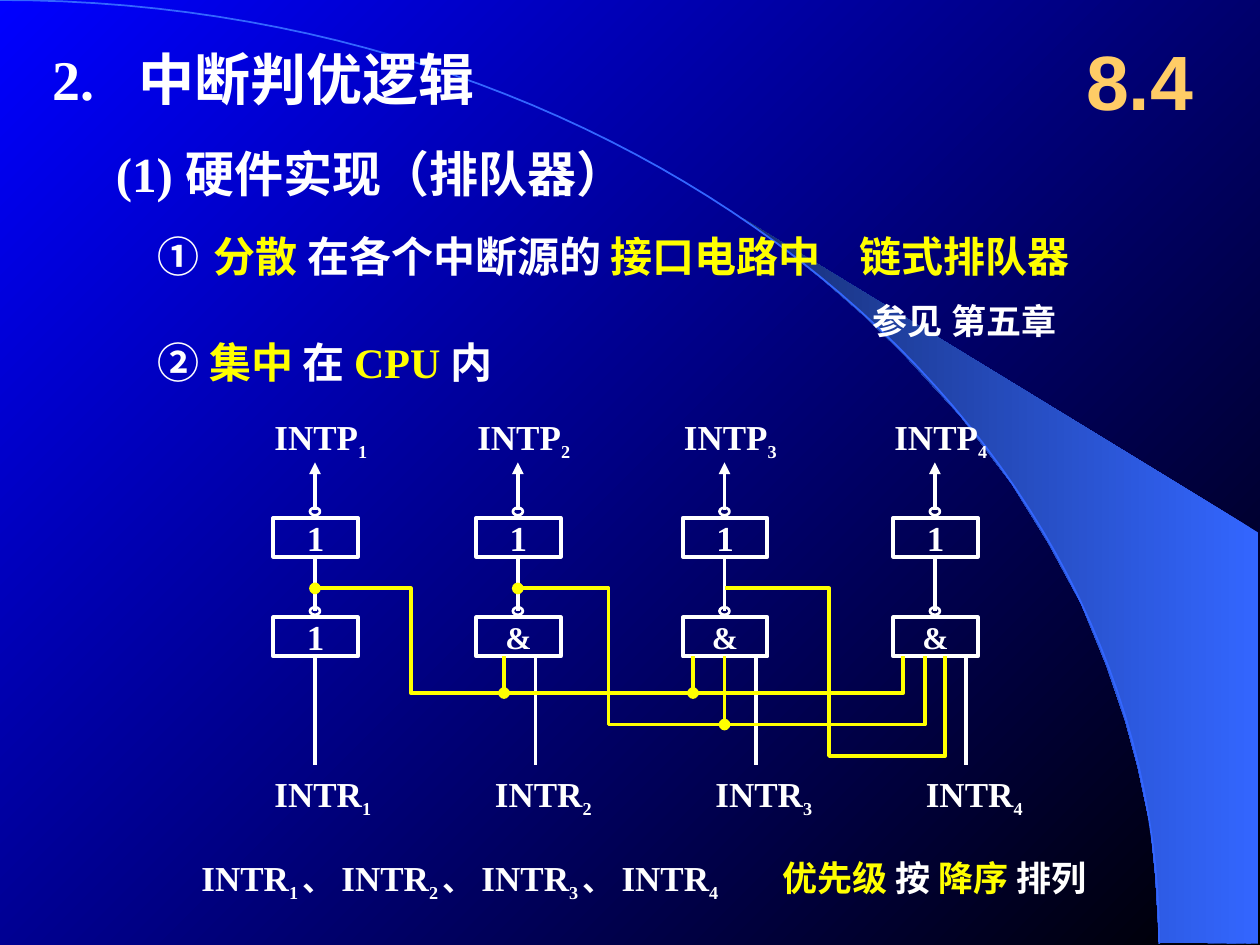
from lxml.etree import SubElement
from pptx import Presentation
from pptx.dml.color import RGBColor
from pptx.enum.shapes import MSO_CONNECTOR, MSO_SHAPE
from pptx.enum.text import MSO_ANCHOR, PP_ALIGN
from pptx.oxml.ns import qn
from pptx.util import Pt

PX = 9144
HUES = {
    "white": "FFFFFF",
    "yellow": "FFFF00",
    "gold": "FFCC66",
    "sky": "3366FF",
    "navy": "172F75",
    "blue": "0000FF",
    "black": "000000",
}


def tint(name):
    return RGBColor.from_string(HUES[name])


def blend(fill, start, end, angle):
    fill.gradient()
    fill.gradient_angle = angle
    for stop, hue, place in zip(fill.gradient_stops, (start, end), (0, 1)):
        stop.color.rgb = tint(hue)
        stop.position = place


def style(para, text, size=20, hue="white", font="Times New Roman", drop=False):
    run = para.add_run()
    run.text = text
    run.font.size = Pt(size)
    run.font.bold = True
    run.font.name = font
    run.font.color.rgb = tint(hue)
    if drop:
        run._r.get_or_add_rPr().set("baseline", "-25000")


def write(slide, box, runs, pad=10, mid=False, wrap=True, tab=0, align=None):
    frame = slide.shapes.add_textbox(*(v * PX for v in box)).text_frame
    frame.word_wrap = wrap
    frame.margin_left = frame.margin_right = pad * PX
    frame.margin_top = frame.margin_bottom = 5 * PX
    frame.vertical_anchor = MSO_ANCHOR.MIDDLE if mid else MSO_ANCHOR.TOP
    para = frame.paragraphs[0]
    para.alignment = align
    if tab:
        stops = SubElement(para._p.get_or_add_pPr(), qn("a:tabLst"))
        SubElement(stops, qn("a:tab"), pos=str(tab * PX), algn="l")
    for text, form in runs:
        style(para, text, **form)


def trace(slide, points, hue="white", width=2.25, head=None, tail=None):
    spots = [(round(x * PX), round(y * PX)) for x, y in points]
    if len(spots) == 2:
        shape = slide.shapes.add_connector(
            MSO_CONNECTOR.STRAIGHT, *spots[0], *spots[1])
    else:
        pen = slide.shapes.build_freeform(*spots[0])
        pen.add_line_segments(spots[1:], close=False)
        shape = pen.convert_to_shape()
        shape.fill.background()
    shape.line.color.rgb = tint(hue)
    shape.line.width = Pt(width)
    props = shape._element.spPr
    for tag, kind in (("a:headEnd", head), ("a:tailEnd", tail)):
        if kind:
            SubElement(props.find(qn("a:ln")), qn(tag), type=kind)
    SubElement(props, qn("a:effectLst"))


def frame(slide, kind, box, width):
    shape = slide.shapes.add_shape(kind, *(v * PX for v in box))
    shape.shadow.inherit = False
    shape.fill.background()
    shape.line.color.rgb = tint("white")
    shape.line.width = Pt(width)
    return shape


def backdrop(slide):
    blend(slide.background.fill, "black", "blue", 135)
    rim = [(920, 748), (999, 749), (999, 423), (589, 173), (624, 199),
           (653, 222), (685, 250), (716, 280), (762, 330), (803, 384),
           (832, 431), (858, 479), (878, 528), (893, 572), (903, 609),
           (913, 656), (917, 696)]
    spots = [(x * PX, y * PX) for x, y in rim]
    pen = slide.shapes.build_freeform(*spots[0])
    pen.add_line_segments(spots[1:], close=True)
    fan = pen.convert_to_shape()
    fan.shadow.inherit = False
    fan.line.fill.background()
    blend(fan.fill, "sky", "navy", 180)
    arc = []
    for step in range(61):
        t = step / 60
        s = 1 - t
        arc.append((3 * s * s * t * 508 + 3 * s * t * t * 920 + t ** 3 * 920,
                    3 * s * t * t * 335 + t ** 3 * 749))
    trace(slide, arc, "sky", 1)


def outline(slide, left, top):
    line = {"pad": 0, "mid": True, "wrap": False}
    plain = {"size": 24}
    key = {"size": 24, "hue": "yellow"}
    write(slide, (left, top, 425, 58),
          [("2.\t中断判优逻辑", {"size": 32})], tab=68, **line)
    write(slide, (left + 50, top + 75, 575, 58),
          [("(1) 硬件实现（排队器）", {"size": 28})], **line)
    write(slide, (left + 83, top + 134, 825, 58),
          [("①", plain), (" ", {"size": 36}), ("分散 ", key),
           ("在各个中断源的 ", plain), ("接口电路中\t链式排队器", key)],
          tab=557, **line)
    write(slide, (left + 83, top + 225, 575, 58),
          [("② ", plain), ("集中 ", key), ("在 ", plain),
           ("CPU ", key), ("内", plain)], **line)
    write(slide, (left + 641, top + 200, 258, 44), [("参见 第五章", {})])
    write(slide, (left + 800, top - 16, 125, 92),
          [("8.4", {"size": 44, "hue": "gold", "font": "Arial"})],
          mid=True, align=PP_ALIGN.CENTER)


def gate(slide, mid, top, sign, size):
    box = frame(slide, MSO_SHAPE.RECTANGLE, (mid - 33, top, 67, 31), 2.25)
    body = box.text_frame
    body.margin_left = body.margin_right = 0
    body.margin_top = body.margin_bottom = 0
    body.vertical_anchor = MSO_ANCHOR.MIDDLE
    body.paragraphs[0].alignment = PP_ALIGN.CENTER
    style(body.paragraphs[0], sign, size=size)
    frame(slide, MSO_SHAPE.OVAL, (mid - 4, top - 8, 8, 6), 1.5)


def column(slide, mid, top, pin, index, sign, size):
    gate(slide, mid, top + 86, "1", 20)
    gate(slide, mid, top + 165, sign, size)
    trace(slide, [(mid, top + 80), (mid, top + 42)], tail="triangle")
    trace(slide, [(mid, top + 116), (mid, top + 160)])
    trace(slide, [(pin, top + 196), (pin, top + 282)])
    for name, left, row in (("INTP", mid, top), ("INTR", pin, top + 283)):
        write(slide, (left - 42, row, 117, 47),
              [(name, {}), (str(index), {"size": 18, "drop": True})])


def feed(slide, top, start, turn, depth, end, taps, head):
    low = top + depth
    trace(slide, [(start, top), (turn, top), (turn, low), (end, low),
                  (end, top + 54)], "yellow", head=head)
    for tap in taps:
        trace(slide, [(tap, top + 54), (tap, low)], "yellow", tail="oval")


def queue(slide, top):
    mids = (250, 411, 575, 742)
    pins = (250, 425, 600, 767)
    for index, (mid, pin) in enumerate(zip(mids, pins), 1):
        sign, size = ("1", 20) if index == 1 else ("&", 18)
        column(slide, mid, top, pin, index, sign, size)
    row = top + 142
    feed(slide, row, mids[0], 326, 83, 717, (400, 550), "oval")
    feed(slide, row, mids[1], 483, 108, 734, (575,), "oval")
    feed(slide, row, mids[2], 658, 133, 750, (), None)


def order(slide, left, top):
    runs = []
    for index in range(1, 5):
        if index > 1:
            runs.append(("、 ", {"size": 18}))
        tail = " " if index < 4 else "\t"
        runs += [("INTR", {}), (f"{index}{tail}", {"size": 18, "drop": True})]
    runs += [("优先级 ", {"hue": "yellow"}), ("按 ", {}),
             ("降序 ", {"hue": "yellow"}), ("排列", {})]
    write(slide, (left, top, 775, 50), runs, tab=461)


def main():
    deck = Presentation()
    deck.slide_width, deck.slide_height = 1000 * PX, 750 * PX
    slide = deck.slides.add_slide(deck.slide_layouts[6])
    backdrop(slide)
    outline(slide, 42, 33)
    queue(slide, 325)
    order(slide, 150, 675)
    deck.save("out.pptx")


if __name__ == "__main__":
    main()
